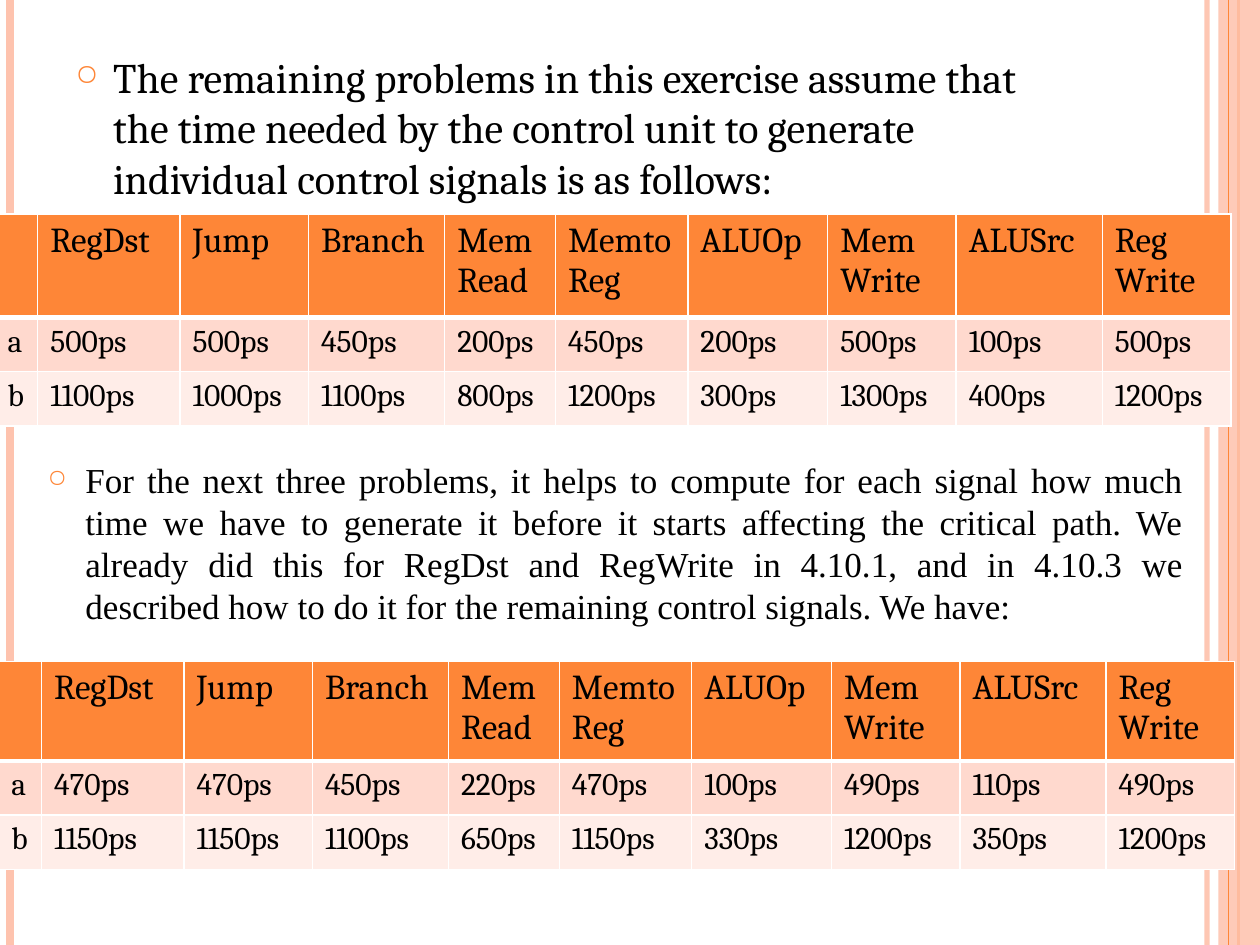
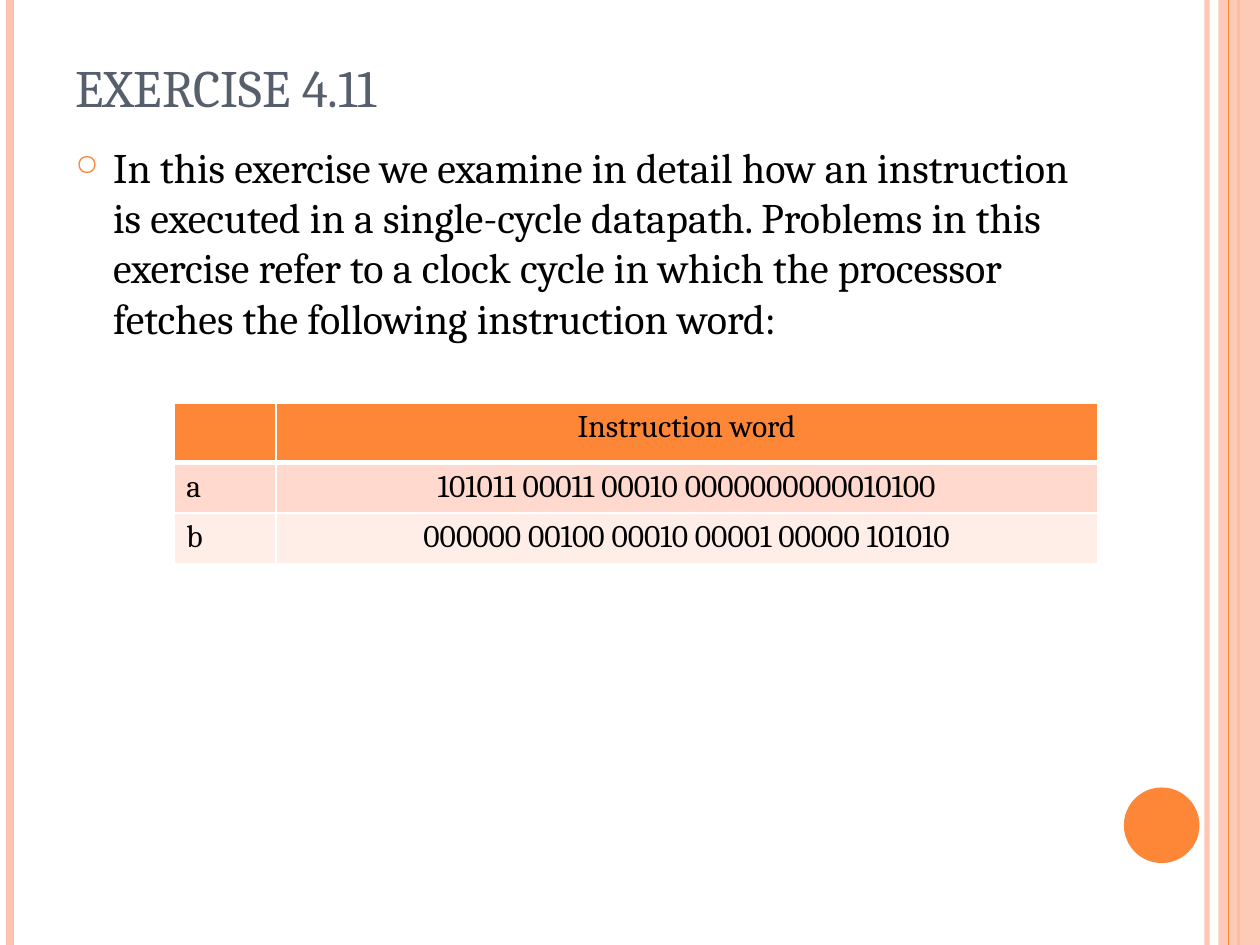
from dataclasses import dataclass

from lxml.etree import SubElement
from pptx import Presentation
from pptx.dml.color import RGBColor
from pptx.enum.shapes import MSO_CONNECTOR, MSO_SHAPE
from pptx.enum.text import MSO_ANCHOR, MSO_AUTO_SIZE, PP_ALIGN
from pptx.oxml.ns import qn
from pptx.util import Inches, Pt

# --- Content ---
SIGNALS = ["", "RegDst", "Jump", "Branch", "Mem\nRead", "Memto\nReg",
           "ALUOp", "Mem\nWrite", "ALUSrc", "Reg\nWrite"]
GENERATION_TIMES = {
    "a": [500, 500, 450, 200, 450, 200, 500, 100, 500],
    "b": [1100, 1000, 1100, 800, 1200, 300, 1300, 400, 1200],
}
AVAILABLE_TIMES = {
    "a": [470, 470, 450, 220, 470, 100, 490, 110, 490],
    "b": [1150, 1150, 1100, 650, 1150, 330, 1200, 350, 1200],
}
INSTRUCTIONS = [
    ["", "Instruction word"],
    ["a", "101011 00011 00010 0000000000010100"],
    ["b", "000000 00100 00010 00001 00000 101010"],
]
ASSUMPTION = ("The remaining problems in this exercise assume that the time needed by "
              "the control unit to generate individual control signals is as follows:")
SLACK_HINT = ("For the next three problems, it helps to compute for each signal how much "
              "time we have to generate it before it starts affecting the critical path. "
              "We already did this for RegDst and RegWrite in 4.10.1, and in 4.10.3 we "
              "described how to do it for the remaining control signals. We have:")
EXERCISE_TITLE = "EXERCISE 4.11"
EXERCISE_INTRO = ("In this exercise we examine in detail how an instruction is executed in "
                  "a single-cycle datapath. Problems in this exercise refer to a clock "
                  "cycle in which the processor fetches the following instruction word:")


# --- Theme and grid (inches) ---
@dataclass(frozen=True)
class Theme:
    accent: str = "FE8637"
    band: str = "FEC3AE"
    title: str = "575F6D"
    text: str = "000000"
    white: str = "FFFFFF"
    row_fills: tuple = ("FFD9CE", "FFEDE8")
    font: str = "Cambria"
    note_font: str = "Times New Roman"
    title_size: int = 30
    body_size: int = 24
    note_size: int = 20
    cell_size: int = 18
    thin: int = 1
    thick: int = 3


THEME = Theme()
WIDTH, HEIGHT = 10, 7.5
MARGIN, BODY_WIDTH = 0.5, 8.17
HANG = 0.3
SIGNAL_COLUMNS = [0.34, 1.13, 1.02, 1.08, 0.88, 1.05, 1.11, 1.02, 1.16, 1.02]
INSTRUCTION_COLUMNS = [0.81, 6.52]
# x, colour, width in points, opacity in percent
RULES_BEHIND = [(9.58, THEME.band, 3, 93), (0.08, THEME.band, 4.5, 100),
                (9.83, THEME.accent, 1.5, 100)]
RULES_IN_FRONT = [(9.75, THEME.accent, 0.75, 100)]


# --- Helpers ---
def inches(*lengths):
    return [Inches(length) for length in lengths]


def style_font(font, **values):
    defaults = {"name": THEME.font, "bold": False}
    for key, value in (defaults | values).items():
        if key == "color":
            font.color.rgb = RGBColor.from_string(value)
        else:
            setattr(font, key, value)


def set_opacity(element, percent):
    if percent < 100:
        color = element.find(".//" + qn("a:srgbClr"))
        SubElement(color, qn("a:alpha"), val=str(percent * 1000))


def add_rule(slide, x, color, width, opacity):
    rule = slide.shapes.add_connector(MSO_CONNECTOR.STRAIGHT, *inches(x, 0, x, HEIGHT))
    rule.line.color.rgb = RGBColor.from_string(color)
    rule.line.width = Pt(width)
    properties = rule._element.spPr
    set_opacity(properties, opacity)
    SubElement(properties, qn("a:effectLst"))


def add_block(slide, preset, box, color, opacity=100):
    block = slide.shapes.add_shape(preset, *inches(*box))
    block.shadow.inherit = False
    block.fill.solid()
    block.fill.fore_color.rgb = RGBColor.from_string(color)
    block.line.fill.background()
    set_opacity(block._element.spPr, opacity)


def add_frame(slide):
    """Edge rules, right band and disc shared by all slides."""
    for rule in RULES_BEHIND:
        add_rule(slide, *rule)
    add_block(slide, MSO_SHAPE.RECTANGLE, (9.67, 0, 0.33, HEIGHT), THEME.band, 87)
    for rule in RULES_IN_FRONT:
        add_rule(slide, *rule)
    add_block(slide, MSO_SHAPE.OVAL, (8.92, 6.25, 0.6, 0.6), THEME.accent)


def add_bullet(slide, text, box, size=THEME.body_size, font=THEME.font,
               **paragraph_format):
    frame = slide.shapes.add_textbox(*inches(*box)).text_frame
    frame.word_wrap = True
    paragraph = frame.paragraphs[0]
    paragraph.text = text
    properties = paragraph._p.get_or_add_pPr()
    properties.set("marL", str(Inches(HANG)))
    properties.set("indent", str(-Inches(HANG)))
    SubElement(SubElement(properties, qn("a:buClr")), qn("a:srgbClr"), val=THEME.accent)
    SubElement(properties, qn("a:buSzPct"), val="70000")
    SubElement(properties, qn("a:buChar"), char="○")
    for key, value in paragraph_format.items():
        setattr(paragraph, key, value)
    style_font(paragraph.font, name=font, size=Pt(size), color=THEME.text)


def set_borders(cell, top, bottom):
    properties = cell._tc.get_or_add_tcPr()
    for side, width in zip("LRTB", (THEME.thin, THEME.thin, top, bottom)):
        line = SubElement(properties, qn(f"a:ln{side}"), w=str(Pt(width)))
        SubElement(SubElement(line, qn("a:solidFill")), qn("a:srgbClr"), val=THEME.white)


def add_grid(slide, rows, left, top, columns, heights, header_size, centred=False):
    table = slide.shapes.add_table(len(rows), len(columns), *inches(
        left, top, sum(columns), sum(heights))).table
    for column, width in zip(table.columns, columns):
        column.width = Inches(width)
    for r, (row, height) in enumerate(zip(rows, heights)):
        table.rows[r].height = Inches(height)
        fill = THEME.row_fills[(r - 1) % 2] if r else THEME.accent
        for c, text in enumerate(row):
            cell = table.cell(r, c)
            cell.text = text
            set_borders(cell, THEME.thick if r == 1 else THEME.thin,
                        THEME.thin if r else THEME.thick)
            cell.fill.solid()
            cell.fill.fore_color.rgb = RGBColor.from_string(fill)
            for paragraph in cell.text_frame.paragraphs:
                if centred and c:
                    paragraph.alignment = PP_ALIGN.CENTER
                style_font(paragraph.font, color=THEME.text,
                           size=Pt(THEME.cell_size if r else header_size))


def add_signal_times(slide, times, left, top, header_height):
    rows = [SIGNALS] + [[label, *(f"{time}ps" for time in values)]
                        for label, values in times.items()]
    add_grid(slide, rows, left, top, SIGNAL_COLUMNS,
             [header_height] + [0.43] * len(times), THEME.note_size)


def set_title(slide, text):
    title = slide.shapes.title
    title.left, title.top, title.width, title.height = inches(MARGIN, 0.3, BODY_WIDTH, 0.69)
    frame = title.text_frame
    frame.text = text
    for key, value in {"word_wrap": True, "auto_size": MSO_AUTO_SIZE.NONE,
                       "vertical_anchor": MSO_ANCHOR.BOTTOM}.items():
        setattr(frame, key, value)
    frame.paragraphs[0].alignment = PP_ALIGN.LEFT
    style_font(frame.paragraphs[0].font, size=Pt(THEME.title_size), color=THEME.title)


# --- Slides ---
def build_signal_slide(deck):
    slide = deck.slides.add_slide(deck.slide_layouts.get_by_name("Blank"))
    add_frame(slide)
    add_bullet(slide, ASSUMPTION, (MARGIN, 0.36, BODY_WIDTH, 1.34))
    add_signal_times(slide, GENERATION_TIMES, -0.04, 1.7, 0.82)
    add_bullet(slide, SLACK_HINT, (0.28, 3.59, 9.21, 1.73), THEME.note_size,
               THEME.note_font, alignment=PP_ALIGN.JUSTIFY, line_spacing=Pt(24))
    add_signal_times(slide, AVAILABLE_TIMES, -0.01, 5.25, 0.79)


def build_exercise_slide(deck):
    slide = deck.slides.add_slide(deck.slide_layouts.get_by_name("Title Only"))
    add_frame(slide)
    set_title(slide, EXERCISE_TITLE)
    add_bullet(slide, EXERCISE_INTRO, (MARGIN, 1.07, BODY_WIDTH, 6.01))
    add_grid(slide, INSTRUCTIONS, 1.38, 3.2, INSTRUCTION_COLUMNS,
             [0.47, 0.39, 0.39], THEME.cell_size, centred=True)


def main():
    deck = Presentation()
    deck.slide_width, deck.slide_height = inches(WIDTH, HEIGHT)
    build_signal_slide(deck)
    build_exercise_slide(deck)
    deck.save("out.pptx")


if __name__ == "__main__":
    main()
